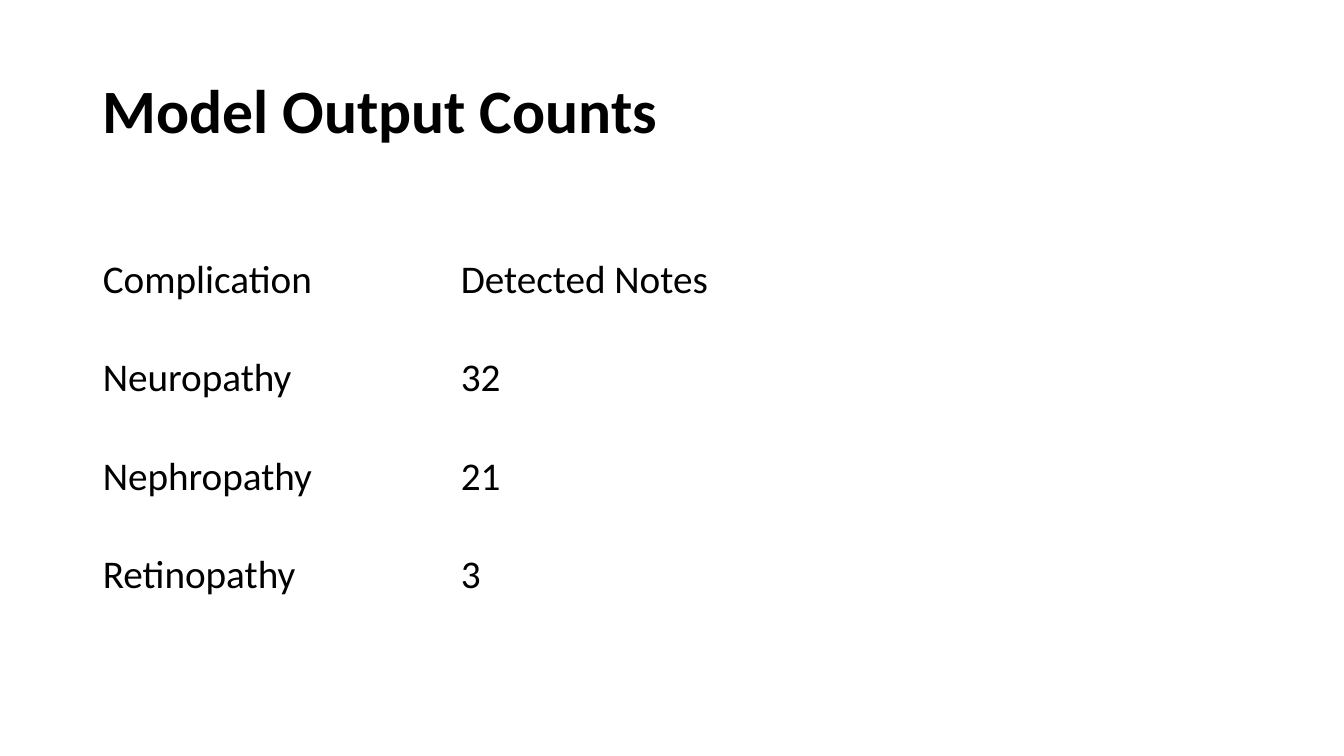
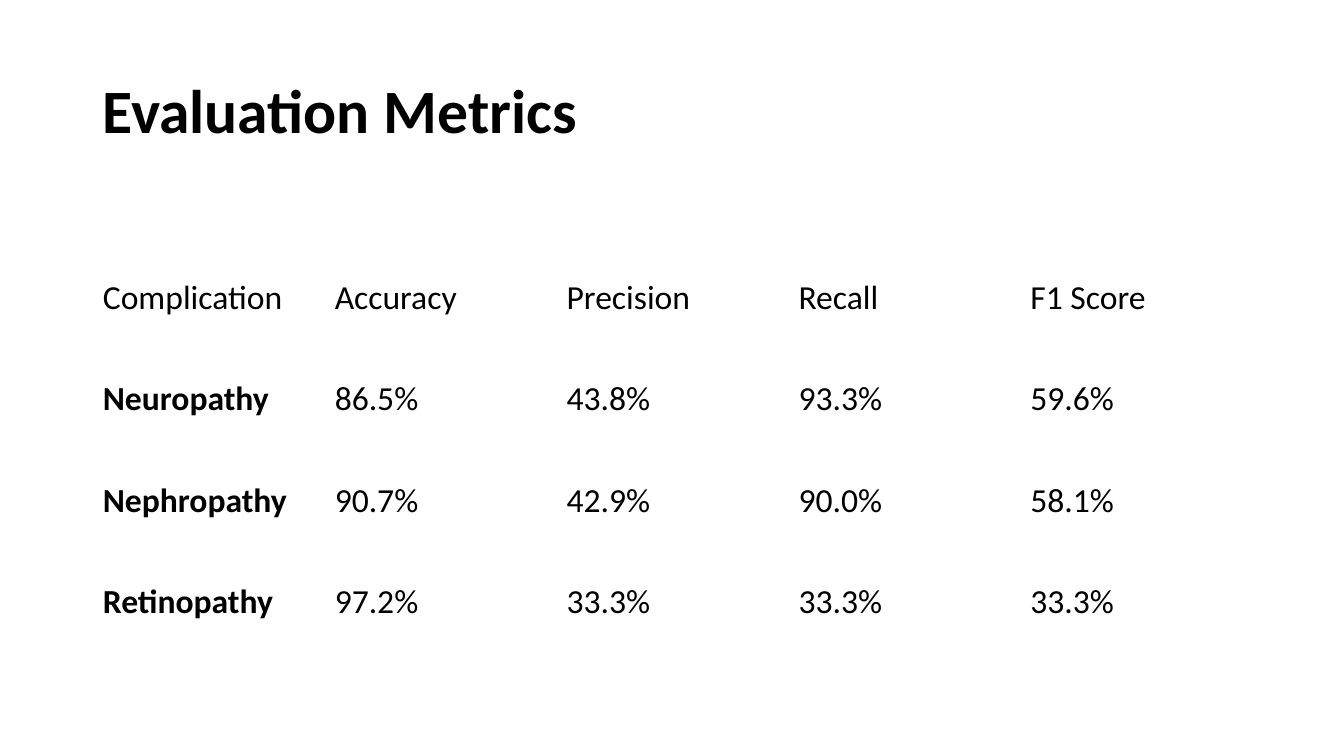
from dataclasses import dataclass

from pptx import Presentation
from pptx.dml.color import RGBColor
from pptx.enum.text import MSO_ANCHOR
from pptx.util import Inches, Pt

MIDDLE = MSO_ANCHOR.MIDDLE
BLANK_LAYOUT = 6


@dataclass(frozen=True)
class Theme:
    font: str = "Calibri"
    ink: RGBColor = RGBColor(0, 0, 0)
    paper: RGBColor = RGBColor(255, 255, 255)
    title_size: int = 44
    counts_size: int = 28
    metrics_size: int = 24


THEME = Theme()

# Boxes: left, top, width, height in inches
TITLE_BOX = (0.92, 0.4, 11.5, 1.45)
COUNTS_BOX = (0.92, 2.29, 7.1, 3.91)
METRICS_BOX = (0.92, 2.45, 11.5, 4.03)

COUNTS = [
    ("Complication", "Detected Notes"),
    ("Neuropathy", "32"),
    ("Nephropathy", "21"),
    ("Retinopathy", "3"),
]
METRICS = [
    ("Complication", "Accuracy", "Precision", "Recall", "F1 Score"),
    ("Neuropathy", "86.5%", "43.8%", "93.3%", "59.6%"),
    ("Nephropathy", "90.7%", "42.9%", "90.0%", "58.1%"),
    ("Retinopathy", "97.2%", "33.3%", "33.3%", "33.3%"),
]


def write_text(frame, text, *, size, bold=False, spacing=None):
    """Fill a text frame with one formatted paragraph."""
    frame.word_wrap = True
    paragraph = frame.paragraphs[0]
    paragraph.line_spacing = spacing
    run = paragraph.add_run()
    run.text = text
    run.font.name = THEME.font
    run.font.size = Pt(size)
    run.font.bold = bold
    run.font.color.rgb = THEME.ink


def add_title(slide, text, box):
    frame = slide.shapes.add_textbox(*map(Inches, box)).text_frame
    frame.vertical_anchor = MIDDLE
    write_text(frame, text, size=THEME.title_size, bold=True, spacing=0.9)


def add_results_table(slide, rows, box, *, size, bold_labels=False):
    """Spread the rows and columns evenly over the box, without fills."""
    row_count, column_count = len(rows), len(rows[0])
    table = slide.shapes.add_table(row_count, column_count, *map(Inches, box)).table
    table.first_row = False
    table.horz_banding = False
    for column in table.columns:
        column.width = Inches(box[2] / column_count)
    for r, values in enumerate(rows):
        table.rows[r].height = Inches(box[3] / row_count)
        for c, value in enumerate(values):
            cell = table.cell(r, c)
            cell.fill.background()
            cell.vertical_anchor = MIDDLE
            is_label = r > 0 and c == 0
            write_text(cell.text_frame, value, size=size, bold=bold_labels and is_label)


def add_results_slide(deck, title, rows, box, **table_format):
    slide = deck.slides.add_slide(deck.slide_layouts[BLANK_LAYOUT])
    slide.background.fill.solid()
    slide.background.fill.fore_color.rgb = THEME.paper
    add_title(slide, title, TITLE_BOX)
    add_results_table(slide, rows, box, **table_format)


def main():
    deck = Presentation()
    deck.slide_width, deck.slide_height = Inches(13.33), Inches(7.5)
    # Detected notes per complication
    add_results_slide(deck, "Model Output Counts", COUNTS, COUNTS_BOX,
                      size=THEME.counts_size)
    # Scores per complication
    add_results_slide(deck, "Evaluation Metrics", METRICS, METRICS_BOX,
                      size=THEME.metrics_size, bold_labels=True)
    deck.save("out.pptx")


if __name__ == "__main__":
    main()
